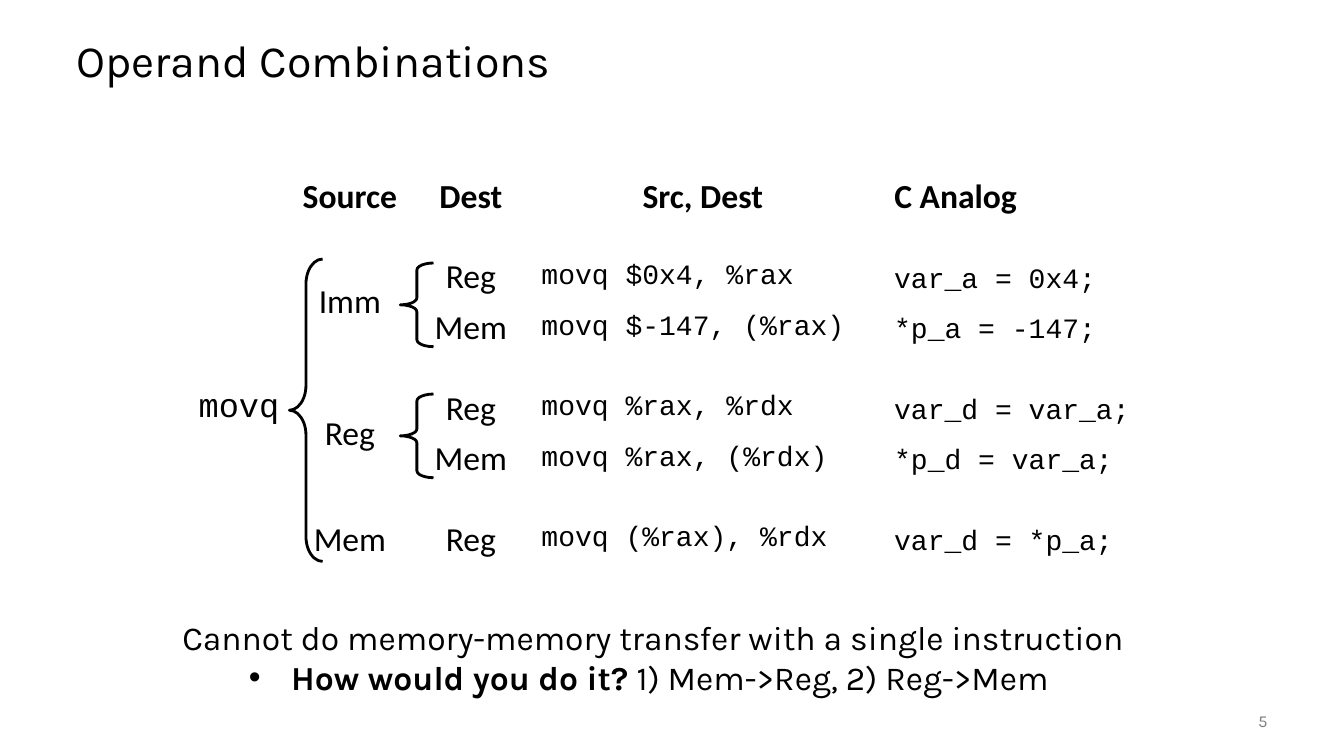
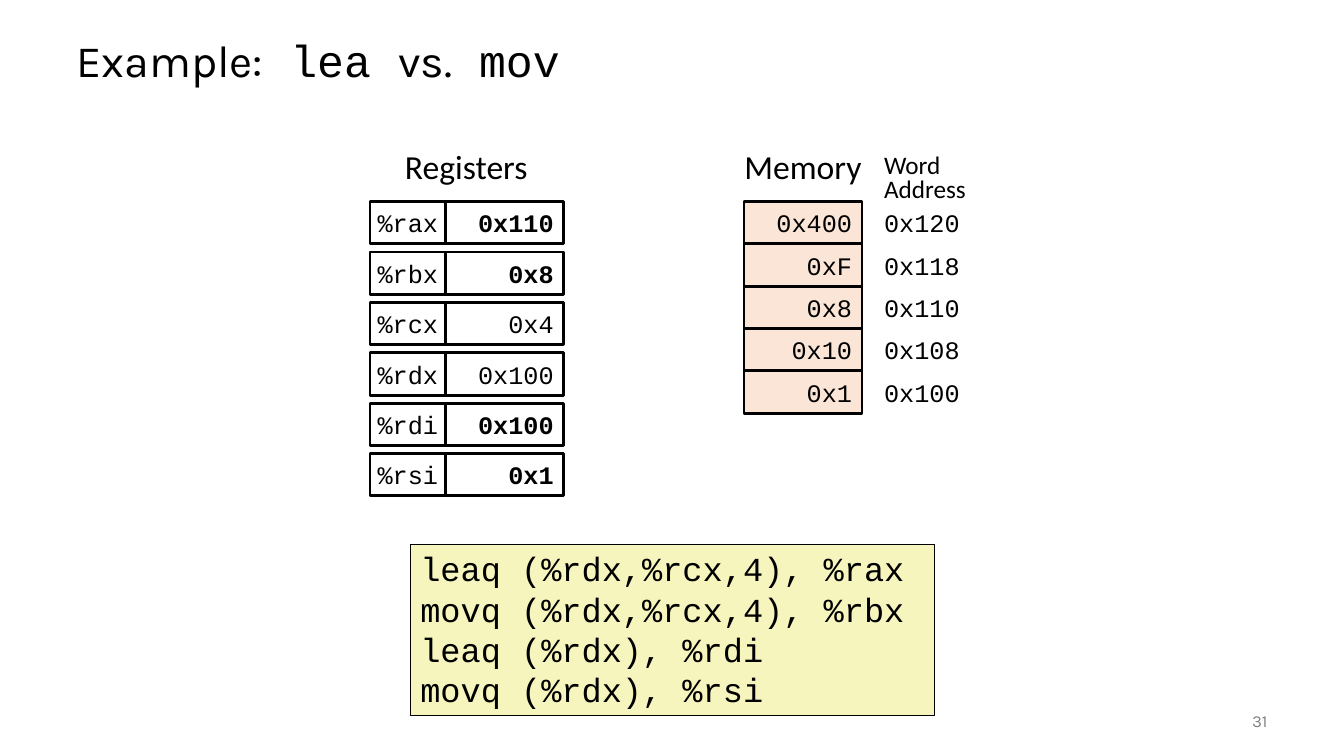
from dataclasses import dataclass
from itertools import accumulate

from lxml import etree
from pptx import Presentation
from pptx.dml.color import RGBColor
from pptx.enum.shapes import MSO_SHAPE
from pptx.enum.text import MSO_ANCHOR, PP_ALIGN
from pptx.oxml.ns import qn
from pptx.util import Inches, Pt

LEFT, CENTER, RIGHT = PP_ALIGN.LEFT, PP_ALIGN.CENTER, PP_ALIGN.RIGHT
TOP, MIDDLE = MSO_ANCHOR.TOP, MSO_ANCHOR.MIDDLE
RECTANGLE, LEFT_BRACE = MSO_SHAPE.RECTANGLE, MSO_SHAPE.LEFT_BRACE


@dataclass(frozen=True)
class Theme:
    ink: str = "000000"
    paper: str = "FFFFFF"
    muted: str = "808080"
    memory: str = "FBE5D6"
    code: str = "F6F5BD"
    main_font: str = "Karla"
    label_font: str = "Calibri"
    code_font: str = "Courier New"
    title_size: int = 32
    body_size: int = 24
    code_size: int = 20
    cell_size: int = 18
    number_size: int = 12
    gap_size: int = 8


theme = Theme()


def write_text(frame, text, font=theme.main_font, size=theme.body_size, color=theme.ink,
               bold=False, align=LEFT, spacing=None):
    """Fill a frame; each line is a string or a list of (text, font, bold) spans."""
    for index, line in enumerate([text] if isinstance(text, str) else text):
        para = frame.paragraphs[0] if index == 0 else frame.add_paragraph()
        para.alignment = align
        if spacing:
            para.line_spacing = spacing
        spans = [(line, font, bold)] if isinstance(line, str) else line
        for words, span_font, span_bold in spans:
            span = para.add_run()
            span.text = words
            span.font.name = span_font
            span.font.size = Pt(size)
            span.font.bold = span_bold
            span.font.color.rgb = RGBColor.from_string(color)


def add_box(page, left, top, width, height, text, fill=None, line=2, anchor=MIDDLE,
            wrap=True, insets=(0.1, 0.05, 0.1, 0.05), **text_format):
    """Add a text box, or an outlined rectangle when a fill is given."""
    place = [Inches(length) for length in (left, top, width, height)]
    if fill:
        box = page.shapes.add_shape(RECTANGLE, *place)
        box.shadow.inherit = False
        box.fill.solid()
        box.fill.fore_color.rgb = RGBColor.from_string(fill)
        box.line.color.rgb = RGBColor.from_string(theme.ink)
        box.line.width = Pt(line)
    else:
        box = page.shapes.add_textbox(*place)
    frame = box.text_frame
    frame.word_wrap = wrap
    frame.vertical_anchor = anchor
    (frame.margin_left, frame.margin_top,
     frame.margin_right, frame.margin_bottom) = [Inches(inset) for inset in insets]
    write_text(frame, text, **text_format)
    return box


deck = Presentation()
deck.slide_width, deck.slide_height = Inches(13.33), Inches(7.5)

# Title and page number on every page
titles = [
    ("Operand Combinations", "5"),
    ([[("Example:", theme.main_font, False), (" lea ", theme.code_font, False),
       ("vs.", theme.main_font, False), (" mov", theme.code_font, False)]], "31"),
]
pages = []
for title, number in titles:
    page = deck.slides.add_slide(deck.slide_layouts[6])
    add_box(page, 0.66, 0.25, 12, 0.75, title, size=theme.title_size, spacing=0.9)
    add_box(page, 11.67, 6.95, 1, 0.4, number, size=theme.number_size,
            color=theme.muted, align=RIGHT)
    pages.append(page)
operands_page, example_page = pages

# Operand table
rows = [
    ("", "Source", "Dest", "Src, Dest", "C Analog"),
    ("", "", "", "", ""),
    ("movq", "Imm", "Reg", "movq $0x4, %rax", ""),
    ("", "", "Mem", "movq $-147, (%rax)", ""),
    ("", "", "", "", ""),
    ("", "Reg", "Reg", "movq %rax, %rdx", ""),
    ("", "", "Mem", "movq %rax, (%rdx)", ""),
    ("", "", "", "", ""),
    ("", "Mem", "Reg", "movq (%rax), %rdx", ""),
]
column_widths = [1, 1.2, 1.2, 3.5, 2.6]
row_heights = [0.3 if not any(row) else 0.5 for row in rows]
table_left, table_top = 1.87, 1.7
table = operands_page.shapes.add_table(
    len(rows), len(column_widths), Inches(table_left), Inches(table_top),
    Inches(sum(column_widths)), Inches(sum(row_heights))).table
table.first_row = table.horz_banding = False
for column, width in zip(table.columns, column_widths):
    column.width = Inches(width)
for table_row, height in zip(table.rows, row_heights):
    table_row.height = Inches(height)

for first, last, column in [(2, 8, 0), (2, 3, 1), (5, 6, 1)]:
    table.cell(first, column).merge(table.cell(last, column))

for row_index, row in enumerate(rows):
    for column_index, text in enumerate(row):
        cell = table.cell(row_index, column_index)
        cell.fill.background()
        cell.vertical_anchor = MIDDLE
        if column_index == 3:
            cell.margin_right = Inches(0.2)
        if not text:
            para = cell.text_frame.paragraphs[0]
            etree.SubElement(para._p, qn("a:endParaRPr"), sz=str(theme.gap_size * 100))
            continue
        header = row_index == 0
        instruction = column_index == 3 and not header
        mono = instruction or column_index == 0
        write_text(cell.text_frame, text, bold=header,
                   font=theme.code_font if mono else theme.label_font,
                   size=theme.code_size if instruction else theme.body_size,
                   align=LEFT if instruction or column_index == 4 else CENTER)

# C equivalents beside the instructions
row_tops = list(accumulate(row_heights, initial=table_top))
analogs = {2: "var_a = 0x4;", 3: "*p_a = -147;", 5: "var_d = var_a;",
           6: "*p_d = var_a;", 8: "var_d = *p_a;"}
for row_index, analog in analogs.items():
    add_box(operands_page, table_left + sum(column_widths[:4]), row_tops[row_index],
            column_widths[4], 0.5, analog, font=theme.code_font, size=theme.code_size)

# Braces
for left, top, height, curve in [(2.87, 2.57, 3, 0.75), (3.97, 2.61, 0.83, 0.21),
                                 (3.97, 3.91, 0.83, 0.21)]:
    brace = operands_page.shapes.add_shape(
        LEFT_BRACE, Inches(left), Inches(top), Inches(0.33), Inches(height))
    brace.adjustments[0] = curve
    brace.shadow.inherit = False
    brace.fill.background()
    brace.line.color.rgb = RGBColor.from_string(theme.ink)
    brace.line.width = Pt(2)

# Closing remark with one bullet
remark = add_box(operands_page, 1.71, 6.07, 9.81, 0.91, [
    "Cannot do memory-memory transfer with a single instruction",
    [("How would you do it? ", theme.main_font, True),
     ("1) Mem->Reg, 2) Reg->Mem", theme.main_font, False)],
], anchor=TOP)
question = remark.text_frame.paragraphs[1]
question.level = 1
properties = question._p.get_or_add_pPr()
properties.set("marL", str(Inches(1.08)))
properties.set("indent", str(Inches(-0.42)))
etree.SubElement(properties, qn("a:buFont"), typeface="Arial")
etree.SubElement(properties, qn("a:buChar"), char="•")

# Headings of registers and memory
for left, width, heading in [(3.91, 1.43, "Registers"), (7.28, 1.37, "Memory")]:
    add_box(example_page, left, 1.4, width, 0.5, heading, font=theme.label_font,
            align=CENTER, anchor=TOP, wrap=False)
address_insets = (0.1, 0.05, 0, 0.05)
add_box(example_page, 8.67, 1.49, 1, 0.59, ["Word", "Address"], font=theme.label_font,
        size=theme.cell_size, spacing=0.8, anchor=TOP, insets=address_insets)

cell_text = {"font": theme.code_font, "size": theme.cell_size}
cell_height, grid_top = 0.42, 2

# Registers: name, value, changed by the code
registers = [("%rax", "0x110", True), ("%rbx", "0x8", True), ("%rcx", "0x4", False),
             ("%rdx", "0x100", False), ("%rdi", "0x100", True), ("%rsi", "0x1", True)]
for index, (name, value, changed) in enumerate(registers):
    top = grid_top + index * 0.5
    add_box(example_page, 3.67, top, 0.75, cell_height, name, fill=theme.paper,
            align=CENTER, wrap=False, **cell_text)
    add_box(example_page, 4.42, top, 1.17, cell_height, value, fill=theme.paper,
            align=RIGHT, wrap=False, bold=changed, **cell_text)

# Memory words and their addresses
memory = [("0x400", "0x120"), ("0xF", "0x118"), ("0x8", "0x110"),
          ("0x10", "0x108"), ("0x1", "0x100")]
for index, (value, address) in enumerate(memory):
    top = grid_top + index * cell_height
    add_box(example_page, 7.38, top, 1.17, cell_height, value, fill=theme.memory,
            align=RIGHT, wrap=False, **cell_text)
    add_box(example_page, 8.67, top + 0.01, 1, 0.4, address,
            insets=address_insets, **cell_text)

# Code
add_box(example_page, 4.07, 5.4, 5.2, 1.7, [
    "leaq (%rdx,%rcx,4), %rax",
    "movq (%rdx,%rcx,4), %rbx",
    "leaq (%rdx), %rdi",
    "movq (%rdx), %rsi",
], fill=theme.code, line=1, anchor=TOP, insets=(0.1, 0.04, 0.04, 0.04),
    font=theme.code_font)

deck.save("out.pptx")
